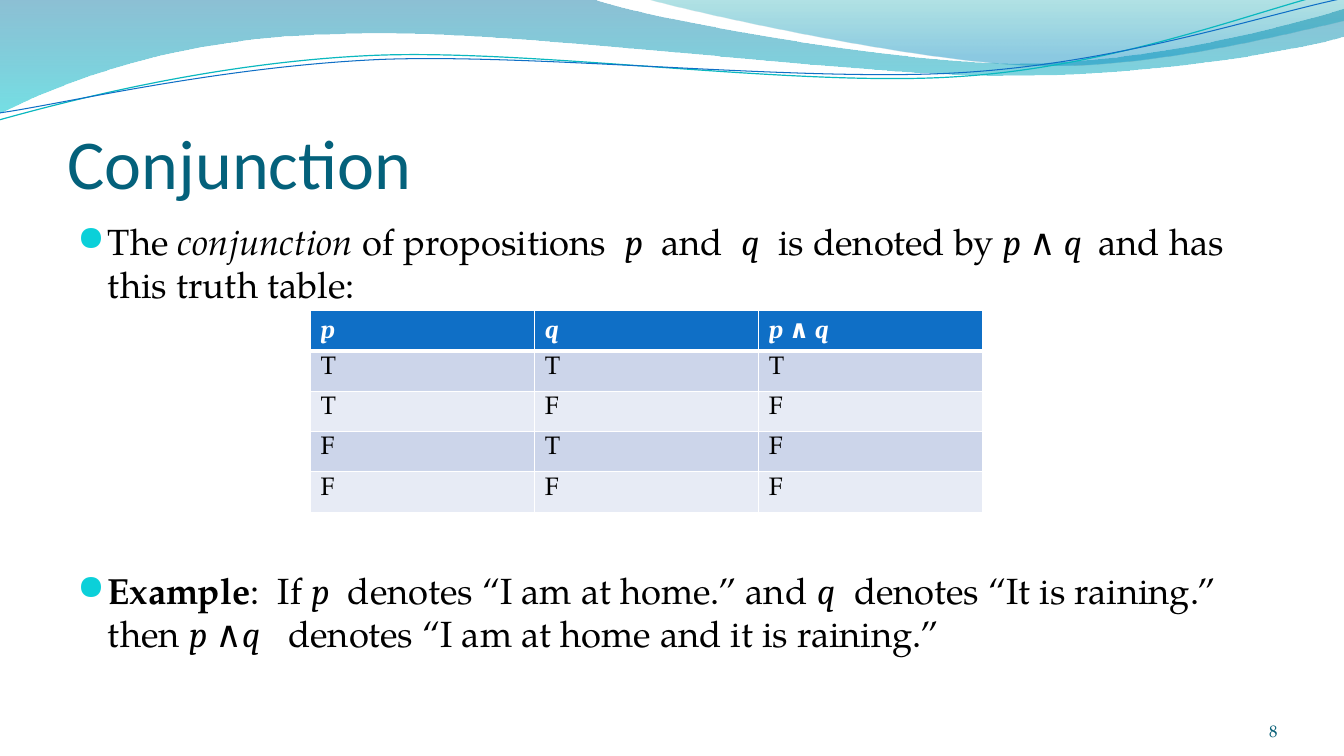
import pptx
import pptx.dml.color
import pptx.enum.text
import pptx.oxml
import pptx.oxml.ns
import pptx.util
from pptx.util import Inches

SERIF, MATH, HEADING = "TeX Gyre Pagella", "Cambria", "Calibri"
BLACK, WHITE, BLUE = "000000", "FFFFFF", "0F6FC6"

# Text styles: font, bold, italic
PLAIN = (SERIF, False, False)
ITALIC = (SERIF, False, True)
BOLD = (SERIF, True, False)
VARIABLE = (MATH, False, True)
SYMBOL = (MATH, False, False)
HEAD_VARIABLE = (MATH, True, True)
HEAD_SYMBOL = (MATH, True, False)

BULLETS = [
    [("The ", PLAIN), ("conjunction", ITALIC), (" of propositions  ", PLAIN),
     ("p", VARIABLE), ("  and  ", PLAIN), ("q", VARIABLE),
     ("  is denoted by ", PLAIN), ("p ", VARIABLE), ("∧ ", SYMBOL),
     ("q  ", VARIABLE), ("and has this truth table:", PLAIN)],
    [("Example", BOLD), (":  If ", PLAIN), ("p", VARIABLE),
     ("  denotes “I am at home.” and ", PLAIN), ("q", VARIABLE),
     ("  denotes “It is raining.” then ", PLAIN), ("p ", VARIABLE),
     ("∧", SYMBOL), ("q", VARIABLE),
     ("   denotes “I am at home and it is raining.”", PLAIN)],
]
TABLE_GAP = 187  # points between the bullets, leaving room for the table

TABLE_HEAD = [
    [("p", HEAD_VARIABLE)],
    [("q", HEAD_VARIABLE)],
    [("p ", HEAD_VARIABLE), ("∧ ", HEAD_SYMBOL), ("q", HEAD_VARIABLE)],
]
TRUTH_VALUES = ["TTT", "TFF", "FTF", "FFF"]
ROW_FILLS = ["CCD5EA", "E7EBF5"]

# Each wave: a start, then steps of one point (line) or three points (curve)
WIDE_BAND = [[(0, 0)], [(5.87, -0.01)],
             [(6.34, 0.17), (8.85, 0.63), (10.11, 0.63)],
             [(11.38, 0.63), (12.78, 0.26), (13.33, 0.09)], [(13.35, 0.36)],
             [(13.11, 0.44), (11.6, 0.76), (9.94, 0.75)],
             [(8.29, 0.75), (5.09, 0.28), (3.43, 0.34)],
             [(1.72, 0.36), (0.61, 0.83), (-0.01, 1.13)]]
RIGHT_BAND = [[(6.39, -0.01)], [(6.79, 0.11), (9.09, 0.62), (10.25, 0.65)],
              [(11.41, 0.69), (12.82, 0.32), (13.33, 0.21)], [(13.33, 0)]]
TEAL_LINE = [[(-0.01, 1.19)], [(0.64, 1.01), (2.11, 0.62), (3.69, 0.55)],
             [(5.27, 0.48), (7.9, 0.87), (9.5, 0.76)],
             [(11.1, 0.66), (12.52, 0.08), (13.31, -0.1)]]
BLUE_LINE = [[(0, 1.12)], [(0.63, 1.03), (2.18, 0.66), (3.78, 0.59)],
             [(5.37, 0.53), (7.96, 0.82), (9.55, 0.72)],
             [(11.15, 0.62), (12.55, 0.14), (13.34, -0.02)]]
# Gradient stops: position %, colour, opacity %
BANDS = [(WIDE_BAND, [(0, "0074A1", 45), (100, "00C6CF", 55)]),
         (RIGHT_BAND, [(0, "00A1A9", 30), (80, "008BBF", 45)])]
LINES = [(TEAL_LINE, "0AB8BF", 0.85), (BLUE_LINE, BLUE, 0.75)]
UNITS = 100  # freeform units per inch


def color(value):
    return pptx.dml.color.RGBColor.from_string(value)


def element(tag, attributes="", inner=""):
    namespace = pptx.oxml.ns.nsdecls("a")
    return pptx.oxml.parse_xml(
        f"<a:{tag} {namespace} {attributes}>{inner}</a:{tag}>")


def add_spans(para, spans, size, value):
    for text, (font, bold, italic) in spans:
        span = para.add_run()
        span.text = text
        span.font.name, span.font.size = font, pptx.util.Pt(size)
        span.font.bold, span.font.italic = bold, italic
        span.font.color.rgb = color(value)


def set_margins(frame, left, top, right, bottom):
    frame.margin_left, frame.margin_top = Inches(left), Inches(top)
    frame.margin_right, frame.margin_bottom = Inches(right), Inches(bottom)


def place(shape, left, top, width, height):
    shape.left, shape.top = Inches(left), Inches(top)
    shape.width, shape.height = Inches(width), Inches(height)


def add_wave(page, wave, close):
    points = [(round(x * UNITS), round(y * UNITS))
              for step in wave for x, y in step]
    builder = page.shapes.build_freeform(*points[0], scale=Inches(1) / UNITS)
    builder.add_line_segments(points[1:], close=close)
    shape = builder.convert_to_shape()
    shape.shadow.inherit = False
    # Join each three-point step into one Bézier curve
    segments = iter(list(shape.element.iter(pptx.oxml.ns.qn("a:lnTo"))))
    for step in wave[1:]:
        group = [next(segments) for _ in step]
        if len(group) == 3:
            curve = element("cubicBezTo")
            group[0].addprevious(curve)
            for segment in group:
                curve.append(segment[0])
                segment.getparent().remove(segment)
    return shape


def add_waves(page):
    for wave, stops in BANDS:
        shape = add_wave(page, wave, True)
        shape.line.fill.background()
        stop_xml = "".join(
            f'<a:gs pos="{position * 1000}"><a:srgbClr val="{value}">'
            f'<a:alpha val="{opacity * 1000}"/></a:srgbClr></a:gs>'
            for position, value, opacity in stops)
        gradient = element("gradFill", 'rotWithShape="1"',
                           f'<a:gsLst>{stop_xml}</a:gsLst><a:lin ang="5400000"/>')
        shape.element.spPr.find(pptx.oxml.ns.qn("a:custGeom")).addnext(gradient)
    for wave, value, width in LINES:
        shape = add_wave(page, wave, False)
        shape.fill.background()
        shape.line.color.rgb = color(value)
        shape.line.width = pptx.util.Pt(width)


def add_title(page):
    title = page.shapes.title
    place(title, 0.67, 0.77, 12, 1.25)
    frame = title.text_frame
    frame.vertical_anchor = pptx.enum.text.MSO_ANCHOR.BOTTOM
    set_margins(frame, 0, 0.05, 0, 0)
    para = frame.paragraphs[0]
    para.alignment = pptx.enum.text.PP_ALIGN.LEFT
    add_spans(para, [("Conjunction", (HEADING, False, False))], 50, "04617B")


def add_bullets(page):
    box = page.shapes.add_textbox(
        Inches(0.67), Inches(2.12), Inches(12), Inches(4.8))
    frame = box.text_frame
    frame.word_wrap = True
    for index, spans in enumerate(BULLETS):
        para = frame.add_paragraph() if index else frame.paragraphs[0]
        properties = para._p.get_or_add_pPr()
        properties.set("marL", str(Inches(0.3)))
        properties.set("indent", str(-Inches(0.3)))
        properties.append(element("buClr", "", '<a:srgbClr val="0BD0D9"/>'))
        properties.append(element("buSzPct", 'val="95000"'))
        properties.append(element("buFont", 'typeface="OpenSymbol"'))
        properties.append(element("buChar", 'char="●"'))
        if index:
            para.space_before = pptx.util.Pt(TABLE_GAP)
        add_spans(para, spans, 26, BLACK)


def add_truth_table(page):
    rows = [TABLE_HEAD] + [[[(value, PLAIN)] for value in row]
                           for row in TRUTH_VALUES]
    table = page.shapes.add_table(
        len(rows), len(TABLE_HEAD),
        Inches(3.08), Inches(3.08), Inches(6.67), Inches(2)).table
    for row in table.rows:
        row.height = Inches(0.33)
    for index, row in enumerate(rows):
        is_head = index == 0
        # The head row has a heavier lower edge
        edges = {"lnL": 1, "lnR": 1, "lnT": 1, "lnB": 3} if is_head else {
            "lnL": 1, "lnR": 1, "lnB": 1}
        fill = BLUE if is_head else ROW_FILLS[(index - 1) % 2]
        for column, spans in enumerate(row):
            cell = table.cell(index, column)
            set_margins(cell, 0.1, 0.05, 0.1, 0.05)
            for edge, width in edges.items():
                cell._tc.get_or_add_tcPr().append(element(
                    edge, f'w="{pptx.util.Pt(width)}"',
                    f'<a:solidFill><a:srgbClr val="{WHITE}"/></a:solidFill>'))
            cell.fill.solid()
            cell.fill.fore_color.rgb = color(fill)
            add_spans(cell.text_frame.paragraphs[0], spans, 18,
                      WHITE if is_head else BLACK)


def add_page_number(page):
    box = page.shapes.add_textbox(
        Inches(11.56), Inches(6.95), Inches(1.11), Inches(0.4))
    frame = box.text_frame
    frame.word_wrap = True
    frame.vertical_anchor = pptx.enum.text.MSO_ANCHOR.BOTTOM
    set_margins(frame, 0, 0, 0, 0)
    para = frame.paragraphs[0]
    para.alignment = pptx.enum.text.PP_ALIGN.RIGHT
    add_spans(para, [("8", PLAIN)], 12, "045D75")


def main():
    deck = pptx.Presentation()
    deck.slide_width, deck.slide_height = Inches(13.33), Inches(7.5)
    page = deck.slides.add_slide(deck.slide_layouts.get_by_name("Title Only"))
    add_waves(page)
    add_title(page)
    add_bullets(page)
    add_truth_table(page)
    add_page_number(page)
    deck.save("out.pptx")


if __name__ == "__main__":
    main()
